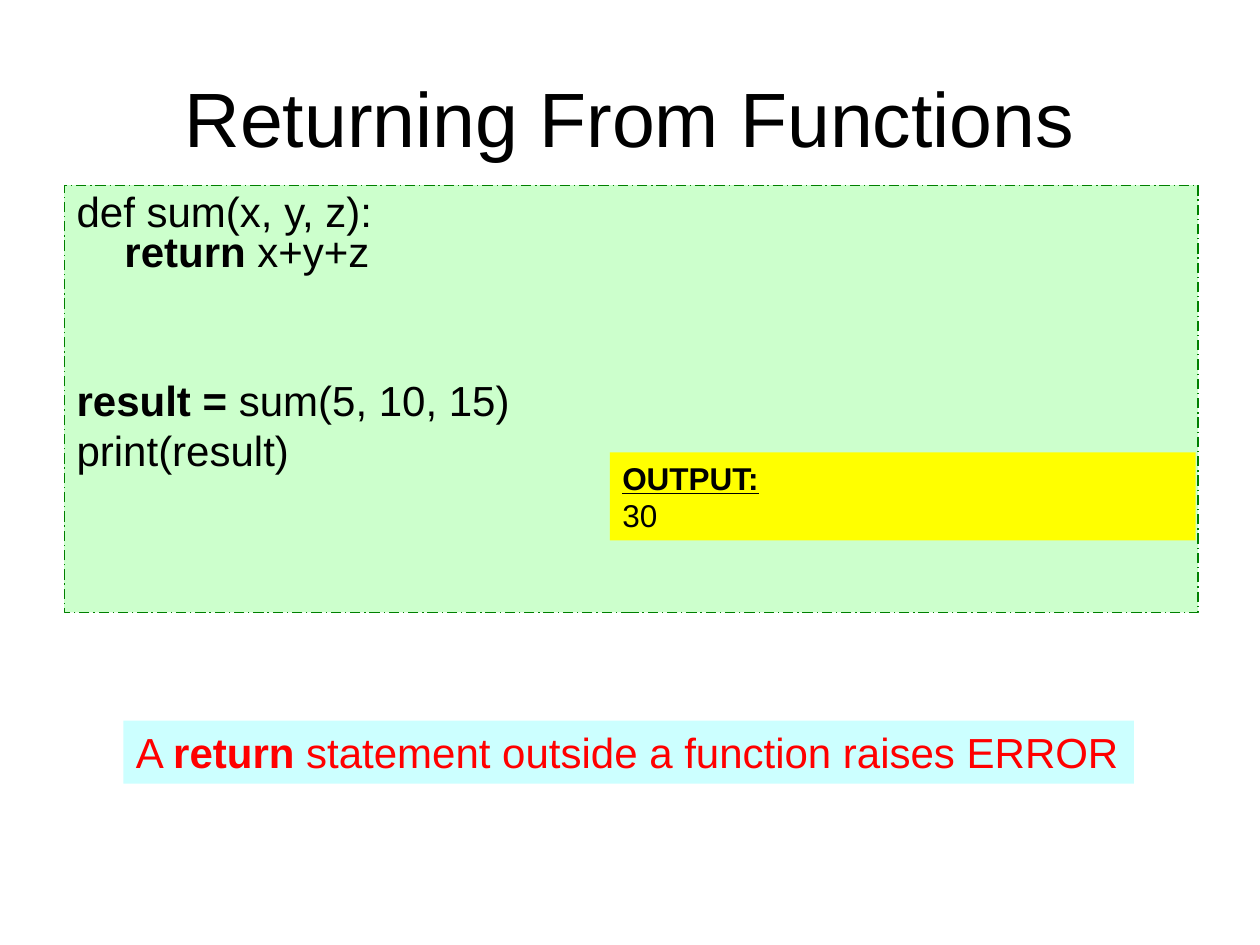
from pptx import Presentation
from pptx.dml.color import RGBColor
from pptx.enum.dml import MSO_LINE
from pptx.enum.shapes import MSO_SHAPE
from pptx.enum.text import MSO_ANCHOR, MSO_AUTO_SIZE, PP_ALIGN
from pptx.util import Inches, Pt


def color(hex_string):
    return RGBColor.from_string(hex_string)


class SlideBuilder:
    font_name = "Arial"
    text_color = "000000"

    def __init__(self, slide):
        self.slide = slide

    def add_runs(self, paragraph, parts, size, text_color=text_color):
        """Fill a paragraph from (text, style) parts; style may hold b and u, and None breaks the line."""
        for part in parts:
            if part is None:
                paragraph.add_line_break()
                continue
            text, style = part
            run = paragraph.add_run()
            run.text = text
            run.font.name = self.font_name
            run.font.size = Pt(size)
            run.font.bold = "b" in style
            run.font.underline = "u" in style
            run.font.color.rgb = color(text_color)

    def title(self, text, left, top, width, height):
        box = self.slide.shapes.add_textbox(
            Inches(left), Inches(top), Inches(width), Inches(height))
        frame = box.text_frame
        frame.word_wrap = True
        frame.vertical_anchor = MSO_ANCHOR.MIDDLE
        frame.paragraphs[0].alignment = PP_ALIGN.CENTER
        self.add_runs(frame.paragraphs[0], [(text, "")], 44)

    def panel(self, lines, left, top, width, height, fill, size, text_color=text_color):
        """Draw a filled rectangle with one left-aligned paragraph per line."""
        shape = self.slide.shapes.add_shape(
            MSO_SHAPE.RECTANGLE, Inches(left), Inches(top), Inches(width), Inches(height))
        shape.shadow.inherit = False
        shape.fill.solid()
        shape.fill.fore_color.rgb = color(fill)
        shape.line.fill.background()
        frame = shape.text_frame
        frame.word_wrap = True
        frame.vertical_anchor = MSO_ANCHOR.TOP
        for index, parts in enumerate(lines):
            paragraph = frame.add_paragraph() if index else frame.paragraphs[0]
            paragraph.alignment = PP_ALIGN.LEFT
            self.add_runs(paragraph, parts, size, text_color)
        return shape

    def code_panel(self, lines, spaces_before, *place):
        shape = self.panel(lines, *place, fill="CCFFCC", size=24)
        shape.line.color.rgb = color("008000")
        shape.line.width = Pt(0.75)
        shape.line.dash_style = MSO_LINE.LONG_DASH_DOT
        shape.text_frame.margin_top = Inches(0.08)
        for paragraph, space in zip(shape.text_frame.paragraphs, spaces_before):
            paragraph.line_spacing = 0.8
            paragraph.space_before = Pt(space)
            properties = paragraph._p.get_or_add_pPr()
            properties.set("marL", str(Inches(0.38)))
            properties.set("indent", str(-Inches(0.38)))


def main():
    presentation = Presentation()
    presentation.slide_width = Inches(10)
    presentation.slide_height = Inches(7.5)
    builder = SlideBuilder(presentation.slides.add_slide(presentation.slide_layouts[6]))

    builder.title("Returning From Functions", 0.5, 0.3, 9, 1.25)
    code = [
        [("def sum(x, y, z):", ""), None, ("return", "b"), (" x+y+z", "")],
        [("result =", "b"), (" sum(5, 10, 15)", "")],
        [("print(result)", "")],
    ]
    builder.code_panel(code, (0, 62, 5.5), 0.51, 1.47, 9, 3.39)

    output = builder.panel([[("OUTPUT:", "bu")], [("30", "")]],
                           4.84, 3.59, 4.65, 0.7, "FFFF00", 18)
    output.text_frame.auto_size = MSO_AUTO_SIZE.SHAPE_TO_FIT_TEXT

    warning = builder.panel(
        [[("A ", ""), ("return", "b"), (" statement outside a function raises ERROR", "")]],
        0.98, 5.72, 8.02, 0.5, "CCFFFF", 24, "FF0000")
    warning.text_frame.word_wrap = False
    warning.text_frame.auto_size = MSO_AUTO_SIZE.SHAPE_TO_FIT_TEXT

    presentation.save("out.pptx")


if __name__ == "__main__":
    main()
